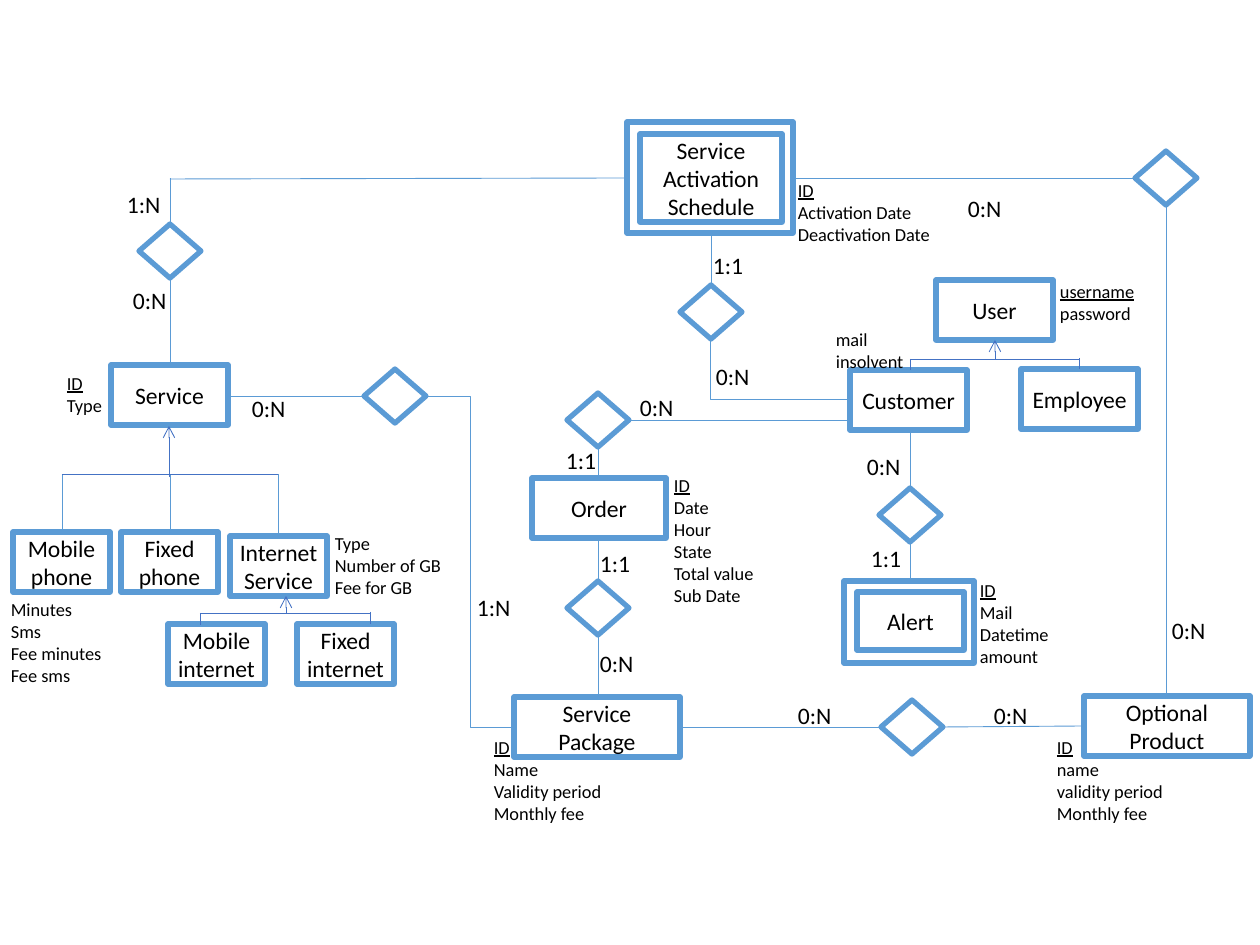
from lxml import etree
from pptx import Presentation, util as u
from pptx.dml.color import RGBColor
from pptx.enum import shapes, text
from pptx.oxml.ns import qn

BLUE = RGBColor(0x5B, 0x9B, 0xD5)
NAVY = RGBColor(0x44, 0x72, 0xC4)
WHITE = RGBColor(0xFF, 0xFF, 0xFF)
BLACK = RGBColor(0, 0, 0)
FONT = "Calibri"
PX = 914400 / 126

# Entities: lines of the name, left, top, width, height
BOXES = [
    (["Service", "Package"], 514, 697, 166, 60),
    (["Order"], 532, 478, 134, 60),
    (["Customer"], 850, 370, 117, 60),
    (["Optional", "Product"], 1084, 696, 166, 60),
    (["Service", "Activation", "Schedule"], 640, 134, 142, 88),
    (["Alert"], 857, 592, 107, 58),
    (["Service"], 111, 365, 117, 60),
    (["Employee"], 1021, 369, 117, 60),
    (["User"], 936, 280, 117, 60),
    (["Mobile", "phone"], 13, 532, 97, 60),
    (["Fixed", "phone"], 121, 532, 97, 60),
    (["Internet", "Service"], 230, 536, 97, 60),
    (["Mobile internet"], 168, 624, 97, 60),
    (["Fixed internet"], 297, 624, 97, 60),
]
# Outer frames of the weak entities
FRAMES = [(627, 122, 166, 111), (844, 581, 130, 82)]
# Centres of the relations
LINKS = [(912, 727), (598, 608), (598, 420), (1166, 178),
         (711, 312), (910, 515), (170, 251), (395, 396)]
# Attributes: lines, left, top, width, whether the first is the key
NOTES = [
    (["ID", "Name", "Validity period", "Monthly fee"], 485, 731, 141, True),
    (["mail", "insolvent"], 827, 323, 103, False),
    (["ID", "Activation Date", "Deactivation Date"], 789, 174, 163, True),
    (["ID", "Date", "Hour", "State", "Total value", "Sub Date"],
     665, 469, 163, True),
    (["ID", "name", "validity period", "Monthly fee"], 1048, 731, 141, True),
    (["ID", "Mail", "Datetime", "amount"], 971, 574, 163, True),
    (["ID", "Type"], 58, 367, 163, True),
    (["username", "password"], 1051, 275, 103, True),
    (["Type", "Number of GB", "Fee for GB"], 326, 527, 163, False),
    (["Minutes", "Sms", "Fee minutes", "Fee sms"], 2, 593, 163, False),
]
# Cardinalities and the top left corners of their boxes
COUNTS = {
    "0:N": [(985, 696), (789, 696), (591, 644), (631, 388), (1163, 611),
            (959, 189), (707, 357), (858, 447), (124, 281), (243, 389)],
    "1:1": [(591, 544), (557, 441), (704, 246), (862, 539)],
    "1:N": [(118, 185), (468, 588)],
}
# Lines of the relations
EDGES = [
    (680, 727, 882, 727), (943, 727, 1084, 726), (598, 635, 598, 697),
    (598, 581, 598, 538), (629, 420, 850, 420), (598, 447, 598, 478),
    (1166, 204, 1166, 696), (793, 178, 1135, 178), (910, 489, 910, 431),
    (170, 179, 627, 178), (228, 396, 364, 396), (170, 277, 170, 365),
    (910, 542, 910, 581), (711, 286, 711, 233), (170, 224, 170, 178),
    (62, 532, 62, 474), (170, 531, 170, 474), (278, 536, 278, 474),
]
ELBOWS = [(426, 396, 514, 727, "bentConnector3"),
          (850, 400, 711, 339, "bentConnector2")]
# Lines of the hierarchies
TREES = [
    (910, 359, 1080, 359), (1079, 358, 1079, 369), (910, 359, 910, 370),
    (62, 474, 278, 474), (200, 613, 370, 613), (370, 612, 370, 624),
    (200, 613, 200, 625),
]
ARROWS = [(995, 359, 995, 340), (169, 477, 169, 426), (286, 613, 286, 596)]


def px(n):
    """Turn pixels into EMU."""
    return u.Emu(round(n * PX))


def write(item, rows, size, align=text.PP_ALIGN.LEFT, wrap=True, key=False):
    """Fill a shape with one paragraph per row."""
    body = item.text_frame
    body.word_wrap = wrap
    body.margin_left = body.margin_right = px(9)
    body.margin_top = body.margin_bottom = px(5)
    for i, row in enumerate(rows):
        par = body.paragraphs[0] if i == 0 else body.add_paragraph()
        par.alignment = align
        run = par.add_run()
        run.text = row
        run.font.name, run.font.size = FONT, u.Pt(size)
        run.font.color.rgb = BLACK
        run.font.underline = key and i == 0


def outline(slide, kind, left, top, wide, high, fill=True):
    """Add a shape with a thick blue line."""
    item = slide.shapes.add_shape(kind, px(left), px(top), px(wide), px(high))
    item.shadow.inherit = False
    if fill:
        item.fill.solid()
        item.fill.fore_color.rgb = WHITE
    else:
        item.fill.background()
    item.line.color.rgb = BLUE
    item.line.width = u.Pt(3)
    return item


def label(slide, rows, left, top, wide, high, size, **style):
    """Add a free text box."""
    item = slide.shapes.add_textbox(px(left), px(top), px(wide), px(high))
    write(item, rows, size, **style)
    item.text_frame.auto_size = text.MSO_AUTO_SIZE.SHAPE_TO_FIT_TEXT


def join(slide, ends, color, bend=None, arrow=False):
    """Add a thin line, bent or with an arrowhead if asked."""
    kind = shapes.MSO_CONNECTOR.ELBOW if bend else shapes.MSO_CONNECTOR.STRAIGHT
    wire = slide.shapes.add_connector(kind, *map(px, ends))
    wire.line.color.rgb = color
    wire.line.width = u.Pt(0.5)
    props = wire._element.spPr
    if bend:
        props.find(qn("a:prstGeom")).set("prst", bend)
    if arrow:
        etree.SubElement(props.find(qn("a:ln")), qn("a:tailEnd"), type="arrow")
    etree.SubElement(props, qn("a:effectLst"))


def main():
    """Build the diagram."""
    deck = Presentation()
    deck.slide_width, deck.slide_height = px(1260), px(945)
    slide = deck.slides.add_slide(deck.slide_layouts[6])
    rect, gem = shapes.MSO_SHAPE.RECTANGLE, shapes.MSO_SHAPE.DIAMOND
    for rows, *place in BOXES:
        item = outline(slide, rect, *place)
        item.text_frame.vertical_anchor = text.MSO_ANCHOR.MIDDLE
        write(item, rows, 13.5, align=text.PP_ALIGN.CENTER)
    for place in FRAMES:
        outline(slide, rect, *place, fill=False)
    for x, y in LINKS:
        outline(slide, gem, x - 31, y - 27, 62, 54)
    for ends in EDGES:
        join(slide, ends, BLUE)
    for *ends, bend in ELBOWS:
        join(slide, ends, BLUE, bend=bend)
    for ends in TREES:
        join(slide, ends, NAVY)
    for ends in ARROWS:
        join(slide, ends, NAVY, arrow=True)
    for rows, left, top, wide, key in NOTES:
        label(slide, rows, left, top, wide, 10 + 22 * len(rows), 10.5, key=key)
    for count, spots in COUNTS.items():
        wide = 49 if count == "1:1" else 53
        for left, top in spots:
            label(slide, [count], left, top, wide, 38, 13.5, wrap=False)
    deck.save("out.pptx")


main()
